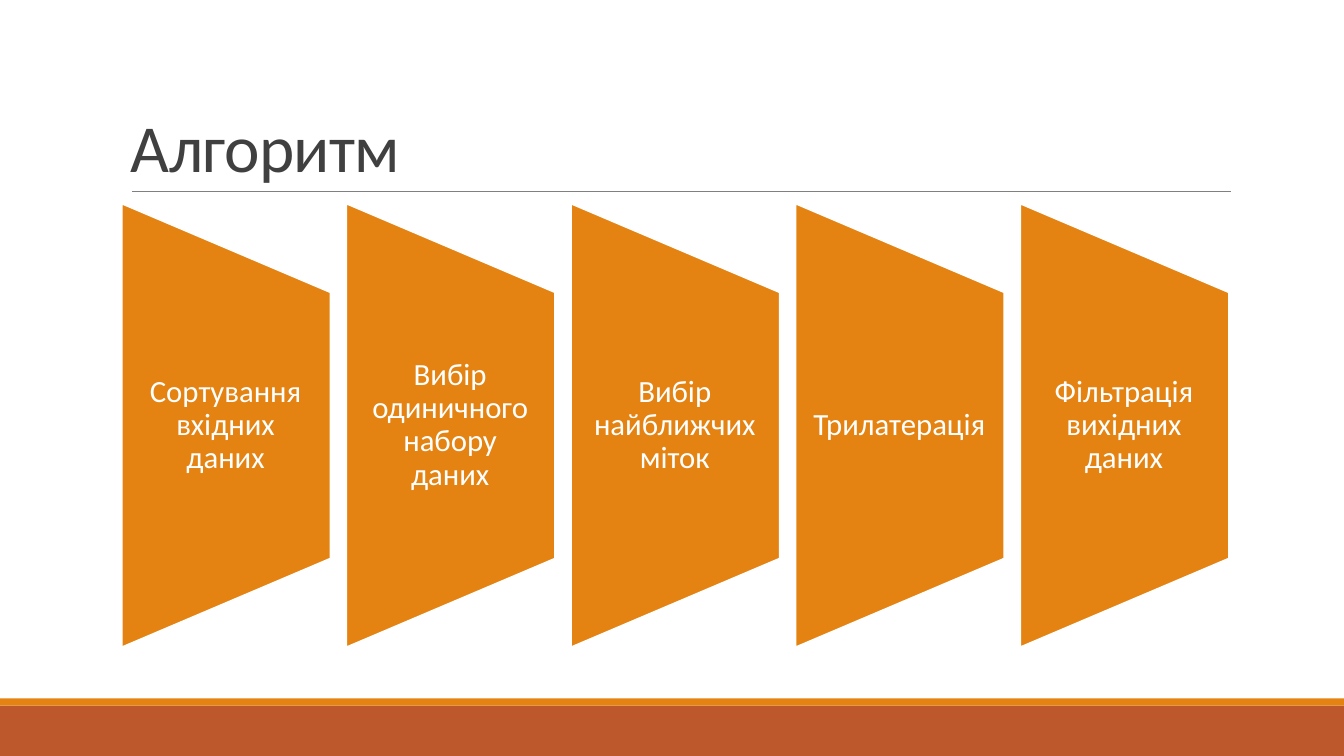
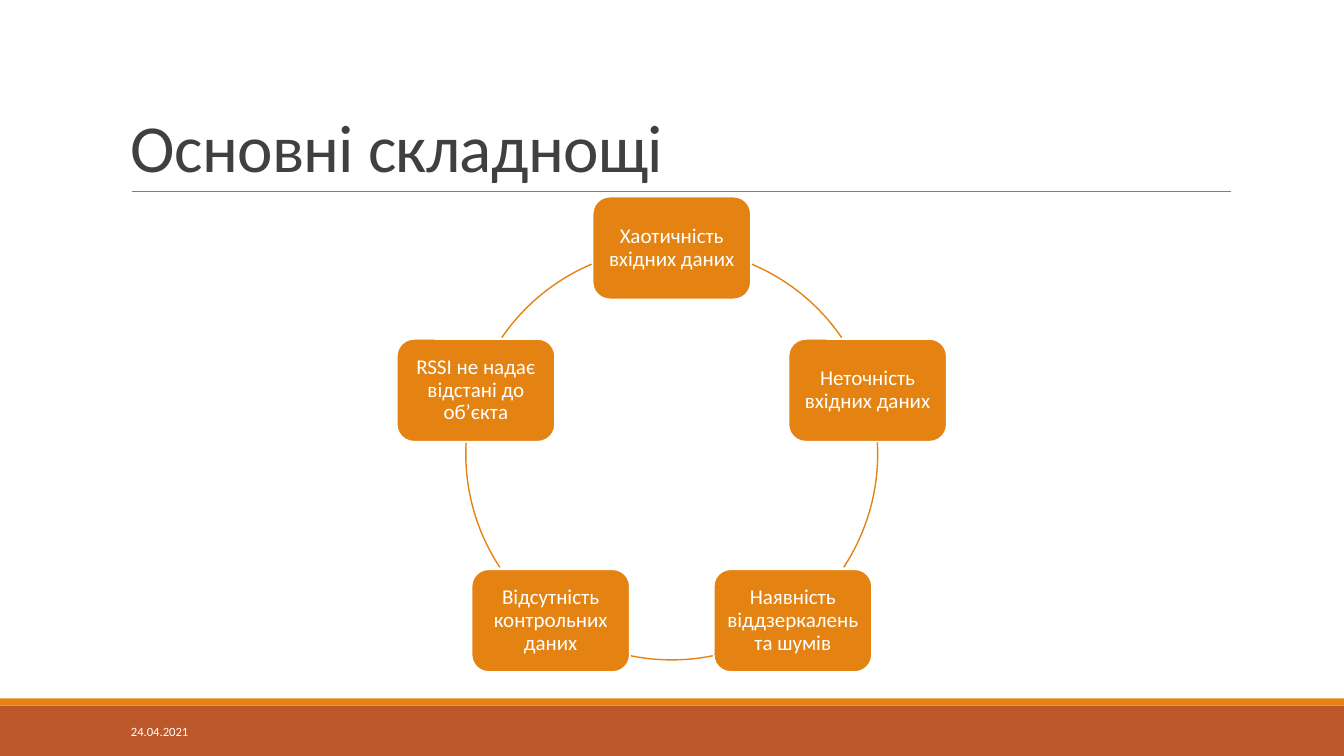
"""Builds two slides: the algorithm's steps and a ring of its main difficulties."""
import math

import pptx
import pptx.dml.color
import pptx.enum.shapes
import pptx.enum.text
import pptx.oxml.ns
import pptx.util
from lxml import etree

Cm = pptx.util.Cm
Pt = pptx.util.Pt
RGBColor = pptx.dml.color.RGBColor
Shape = pptx.enum.shapes.MSO_SHAPE
Align = pptx.enum.text.PP_ALIGN
Anchor = pptx.enum.text.MSO_ANCHOR

ORANGE = RGBColor(0xE4, 0x83, 0x12)
RUST = RGBColor(0xBD, 0x58, 0x2C)
GRAY = RGBColor(0x80, 0x80, 0x80)
DARK = RGBColor(0x40, 0x40, 0x40)
WHITE = RGBColor(0xFF, 0xFF, 0xFF)

STEPS_TITLE = "Алгоритм"
STEPS = [
    "Сортування вхідних даних",
    "Вибір одиничного набору даних",
    "Вибір найближчих міток",
    "Трилатерація",
    "Фільтрація вихідних даних",
]
RING_TITLE = "Основні складнощі"
DIFFICULTIES = [
    "Хаотичність вхідних даних",
    "Неточність вхідних даних",
    "Наявність віддзеркалень та шумів",
    "Відсутність контрольних даних",
    "RSSI не надає відстані до об’єкта",
]
ARC_ANGLES = [(292.9, 325.6), (356.8, 33.4), (78.5, 101.5), (146.6, 183.2), (214.4, 247.1)]
DATE = "24.04.2021"

SLIDE_WIDTH, SLIDE_HEIGHT = 33.87, 19.05
BANDS = [(17.78, 1.27, RUST), (17.6, 0.18, ORANGE)]
RULE_LEFT, RULE_RIGHT, RULE_TOP = 3.33, 31.01, 4.83
CONTENT_LEFT = 3.05

TITLE_FONT = {"name": "Calibri", "size": Pt(48), "bold": False}
STEP_FONT = {"name": "Calibri", "size": Pt(22)}
RING_FONT = {"name": "Calibri", "size": Pt(15)}
DATE_FONT = {"name": "Calibri", "size": Pt(9)}
CENTRED = {"alignment": Align.CENTER, "line_spacing": 0.9}
TITLE_PARAGRAPH = {"alignment": Align.LEFT, "line_spacing": 0.85}


def set_attributes(target, values):
    for name, value in values.items():
        setattr(target, name, value)


def write(box, text, font, color, paragraph, margins=(0.25, 0.13, 0.25, 0.13), anchor=Anchor.MIDDLE):
    frame = box.text_frame
    sides = ("margin_left", "margin_top", "margin_right", "margin_bottom")
    set_attributes(frame, dict(zip(sides, map(Cm, margins))))
    set_attributes(frame, {
        "word_wrap": True,
        "vertical_anchor": anchor,
        "auto_size": pptx.enum.text.MSO_AUTO_SIZE.NONE,
    })
    para = frame.paragraphs[0]
    set_attributes(para, paragraph)
    span = para.add_run()
    span.text = text
    set_attributes(span.font, font)
    span.font.color.rgb = color
    return span


def add_block(page, kind, left, top, width, height, fill=None, line=None, line_width=1.25):
    block = page.shapes.add_shape(kind, Cm(left), Cm(top), Cm(width), Cm(height))
    block.shadow.inherit = False
    if fill is None:
        block.fill.background()
    else:
        block.fill.solid()
        block.fill.fore_color.rgb = fill
    if line is None:
        block.line.fill.background()
    else:
        block.line.color.rgb = line
        block.line.width = Pt(line_width)
    return block


def add_label(page, left, top, width, height, *text_format):
    box = page.shapes.add_textbox(Cm(left), Cm(top), Cm(width), Cm(height))
    write(box, *text_format)


def decorate_layout(layout, page):
    """Draw the shared bands and title rule, then hand them to the layout."""
    parts = [add_block(page, Shape.RECTANGLE, 0, top, SLIDE_WIDTH, height, color)
             for top, height, color in BANDS]
    rule = page.shapes.add_connector(
        pptx.enum.shapes.MSO_CONNECTOR.STRAIGHT,
        Cm(RULE_LEFT), Cm(RULE_TOP), Cm(RULE_RIGHT), Cm(RULE_TOP))
    rule.line.color.rgb = GRAY
    rule.line.width = Pt(0.5)
    etree.SubElement(rule.element.spPr, pptx.oxml.ns.qn("a:effectLst"))
    parts.append(rule)
    for index, part in enumerate(parts):
        part.element.xpath(".//p:cNvPr")[0].set("id", str(100 + index))
        layout.shapes.element.insert(2 + index, part.element)


def add_page(deck, layout, title):
    page = deck.slides.add_slide(layout)
    holder = page.shapes.title
    set_attributes(holder, {"left": Cm(CONTENT_LEFT), "top": Cm(0.79),
                            "width": Cm(27.94), "height": Cm(4.04)})
    span = write(holder, title, TITLE_FONT, DARK, TITLE_PARAGRAPH, anchor=Anchor.BOTTOM)
    span.font._element.set("spc", "-50")
    return page


def add_steps(page):
    width, height, pitch, middle = 5.26, 11.18, 5.66, 10.72
    label_height = 6.7
    for index, step in enumerate(STEPS):
        left = 3.07 + index * pitch
        block = add_block(page, Shape.FLOWCHART_MANUAL_OPERATION,
                          left + (width - height) / 2, middle - width / 2,
                          height, width, ORANGE, WHITE)
        block.rotation = 270
        add_label(page, left, middle - label_height / 2, width, label_height,
                  step, STEP_FONT, WHITE, CENTRED, (0.38, 0, 0.41, 0))


def add_ring(page):
    center_x, center_y, radius = 16.93, 11.44, 5.19
    width, height = 3.99, 2.59
    for index, (text, angles) in enumerate(zip(DIFFICULTIES, ARC_ANGLES)):
        turn = 2 * math.pi * index / len(DIFFICULTIES)
        x = center_x + radius * math.sin(turn)
        y = center_y - radius * math.cos(turn)
        box = add_block(page, Shape.ROUNDED_RECTANGLE, x - width / 2, y - height / 2,
                        width, height, ORANGE, WHITE)
        write(box, text, RING_FONT, WHITE, CENTRED, (0.15, 0.15, 0.15, 0.15))
        arc = add_block(page, Shape.ARC, center_x - radius, center_y - radius,
                        2 * radius, 2 * radius, line=ORANGE, line_width=1)
        for side, angle in enumerate(angles):
            arc.adjustments[side] = angle * 0.6


def main():
    deck = pptx.Presentation()
    deck.slide_width, deck.slide_height = Cm(SLIDE_WIDTH), Cm(SLIDE_HEIGHT)
    layout = deck.slide_layouts.get_by_name("Title Only")
    steps_page = add_page(deck, layout, STEPS_TITLE)
    decorate_layout(layout, steps_page)
    add_steps(steps_page)
    ring_page = add_page(deck, layout, RING_TITLE)
    add_ring(ring_page)
    add_label(ring_page, CONTENT_LEFT, 17.93, 6.86, 1.02,
              DATE, DATE_FONT, WHITE, {"alignment": Align.LEFT})
    deck.save("out.pptx")


if __name__ == "__main__":
    main()
